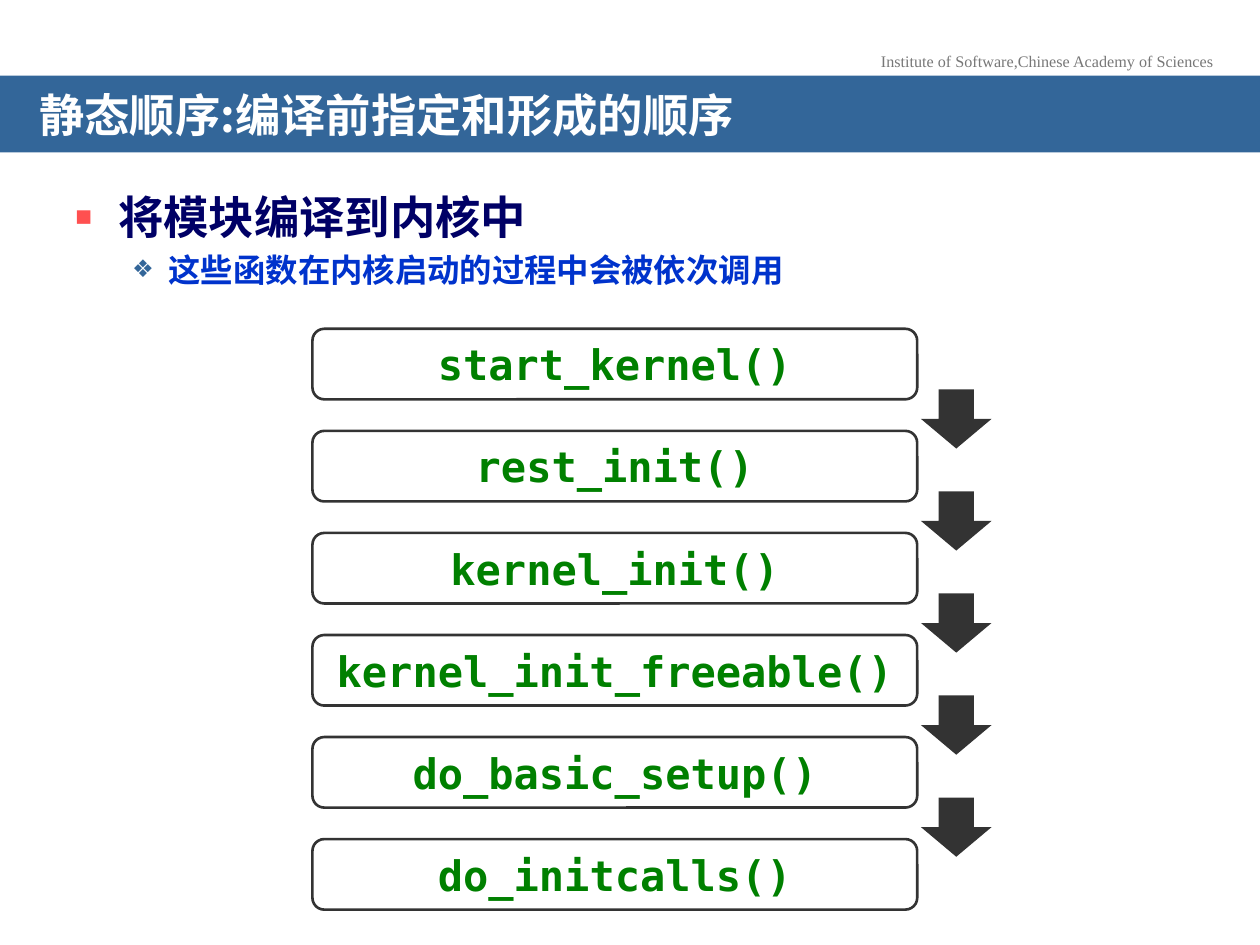
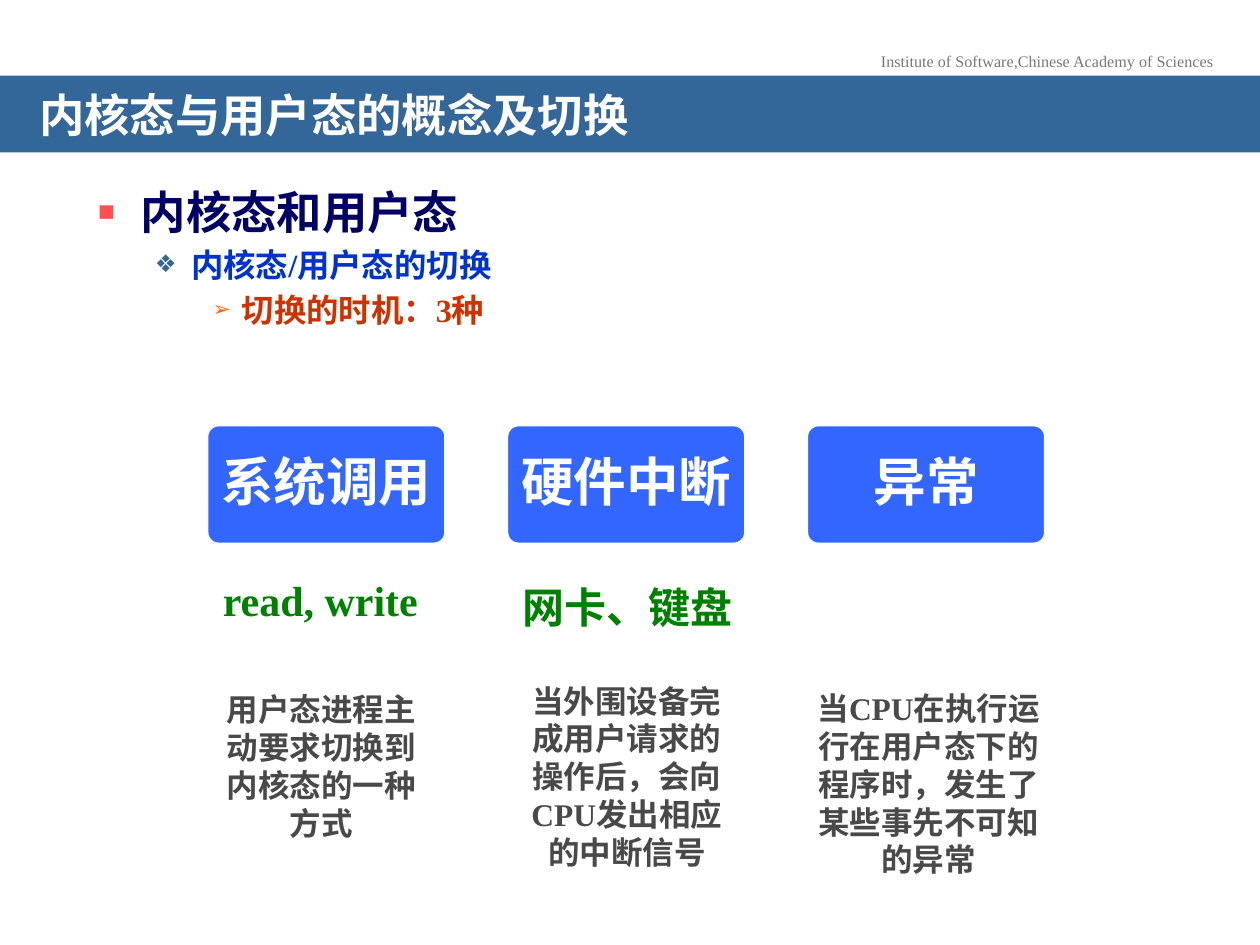
from lxml import etree
from pptx import Presentation
from pptx import util as u
from pptx.dml import color
from pptx.enum import shapes, text
from pptx.oxml import ns

SERIF, CJK, MONO, SANS = "Times New Roman", "Noto Sans CJK SC", "DejaVu Sans Mono", "Arial"
LEFT, CENTER = text.PP_ALIGN.LEFT, text.PP_ALIGN.CENTER
NAVY, BAND, GREEN, DARK, WHITE = "000066", "336699", "008000", "333333", "FFFFFF"
LEVELS = [
    dict(mark="▪", mark_ink="FF5050", mark_size=120, size=25.9, ink=NAVY, indent=0.35, hang=0.35),
    dict(mark="❖", mark_ink=BAND, mark_size=75, size=18.5, ink="0033CC", indent=0.75, hang=0.29),
    dict(mark="➢", mark_ink="FF6600", mark_size=65, size=18.5, ink="CC3300", indent=1.15, hang=0.23),
]

deck = Presentation()
deck.slide_width, deck.slide_height = u.Inches(10), u.Inches(7.5)
column, row = deck.slide_width / 100, deck.slide_height / 75


def rgb(value):
    return color.RGBColor.from_string(value)


def lay(box, cells, content="", size=18, face=SERIF, ink=DARK, align=CENTER, bold=True, fill=None):
    left, top, width, height = cells
    box.left, box.width = round(left * column), round(width * column)
    box.top, box.height = round(top * row), round(height * row)
    if fill:
        box.shadow.inherit = False
        box.fill.solid()
        box.fill.fore_color.rgb = rgb(fill)
        box.line.fill.background()
    frame = box.text_frame
    frame.word_wrap = True
    frame.auto_size = text.MSO_AUTO_SIZE.NONE
    frame.text = content
    for para in frame.paragraphs:
        para.alignment = align
        for span in para.runs:
            span.font.size, span.font.bold, span.font.name = u.Pt(size), bold, face
            span.font.color.rgb = rgb(ink)
            etree.SubElement(span.font._element, ns.qn("a:ea"), typeface=CJK)
    return frame


outlines = [
    ("静态顺序:编译前指定和形成的顺序", (4.9, 14.5, 90.1, 53.5),
     ["将模块编译到内核中", "这些函数在内核启动的过程中会被依次调用"]),
    ("内核态与用户态的概念及切换", (6.7, 14.1, 90.1, 14.3),
     ["内核态和用户态", "内核态/用户态的切换", "切换的时机：3种"]),
]
for title, cells, lines in outlines:
    page = deck.slides.add_slide(deck.slide_layouts[5])
    header = lay(page.shapes.add_textbox(0, 0, 0, 0), (68.7, 3.6, 28.8, 2.6),
                 "Institute of Software,Chinese Academy of Sciences", 9.2, ink="777777", bold=False)
    header.word_wrap = False

    band = lay(page.shapes.title, (0, 6, 100, 6.1), title, 25.9, CJK, WHITE, LEFT, fill=BAND)
    band.vertical_anchor = text.MSO_ANCHOR.MIDDLE
    band.margin_left = band.margin_right = u.Inches(0.31)
    band.margin_top, band.margin_bottom = u.Inches(0.16), u.Inches(0.05)
    band.paragraphs[0].line_spacing = 0.7

    outline = lay(page.shapes.add_textbox(0, 0, 0, 0), cells, "\n".join(lines), align=LEFT)
    for depth, (para, level) in enumerate(zip(outline.paragraphs, LEVELS)):
        para.level = depth
        if depth:
            para.space_before = u.Pt(level["size"] * 0.2)
        props = para._p.get_or_add_pPr()
        props.set("marL", str(u.Inches(level["indent"])))
        props.set("indent", str(-u.Inches(level["hang"])))
        tint = etree.SubElement(props, ns.qn("a:buClr"))
        etree.SubElement(tint, ns.qn("a:srgbClr"), val=level["mark_ink"])
        etree.SubElement(props, ns.qn("a:buSzPct"), val=str(level["mark_size"] * 1000))
        etree.SubElement(props, ns.qn("a:buFont"), typeface=SANS)
        etree.SubElement(props, ns.qn("a:buChar"), char=level["mark"])
        for span in para.runs:
            span.font.size = u.Pt(level["size"])
            span.font.color.rgb = rgb(level["ink"])

boot_page, switch_page = deck.slides

calls = ["start_kernel()", "rest_init()", "kernel_init()",
         "kernel_init_freeable()", "do_basic_setup()", "do_initcalls()"]
for step, call in enumerate(calls):
    top = 26.1 + 8.1 * step
    box = boot_page.shapes.add_shape(shapes.MSO_SHAPE.ROUNDED_RECTANGLE, 0, 0, 0, 0)
    lay(box, (24.8, top, 48, 5.6), call, 24, MONO, GREEN, fill=WHITE)
    box.line.color.rgb = rgb(DARK)
    box.line.width = u.Pt(1.5)
    if step < len(calls) - 1:
        arrow = boot_page.shapes.add_shape(shapes.MSO_SHAPE.DOWN_ARROW, 0, 0, 0, 0)
        lay(arrow, (73.1, top + 4.8, 5.6, 4.7), fill=DARK)

triggers = [
    ("系统调用", "read, write", 45.1, "用户态进程主动要求切换到内核态的一种方式", (16.4, 54.3, 18.2, 13.1)),
    ("硬件中断", "网卡、键盘", 45.7, "当外围设备完成用户请求的操作后，会向CPU发出相应的中断信号",
     (40.3, 53.6, 18.9, 16.2)),
    ("异常", "", 0, "当CPU在执行运行在用户态下的程序时，发生了某些事先不可知的异常",
     (63.8, 54.2, 19.8, 16.2)),
]
for index, (name, example, example_top, meaning, cells) in enumerate(triggers):
    left = 16.4 + 23.8 * index
    card = switch_page.shapes.add_shape(shapes.MSO_SHAPE.ROUNDED_RECTANGLE, 0, 0, 0, 0)
    card.adjustments[0] = 0.1
    label = lay(card, (left, 33.7, 19, 9.5), name, 30, SANS, WHITE, fill="3366FF")
    label.margin_left = label.margin_right = u.Inches(0.06)
    label.paragraphs[0].line_spacing = 0.9
    card.line.color.rgb = rgb(WHITE)
    card.line.width = u.Pt(2)
    if example:
        lay(switch_page.shapes.add_textbox(0, 0, 0, 0), (left + 0.3, example_top, 20, 5),
            example, 24, ink=GREEN, align=LEFT)
    lay(switch_page.shapes.add_textbox(0, 0, 0, 0), cells, meaning, ink="494949")

deck.save("out.pptx")
